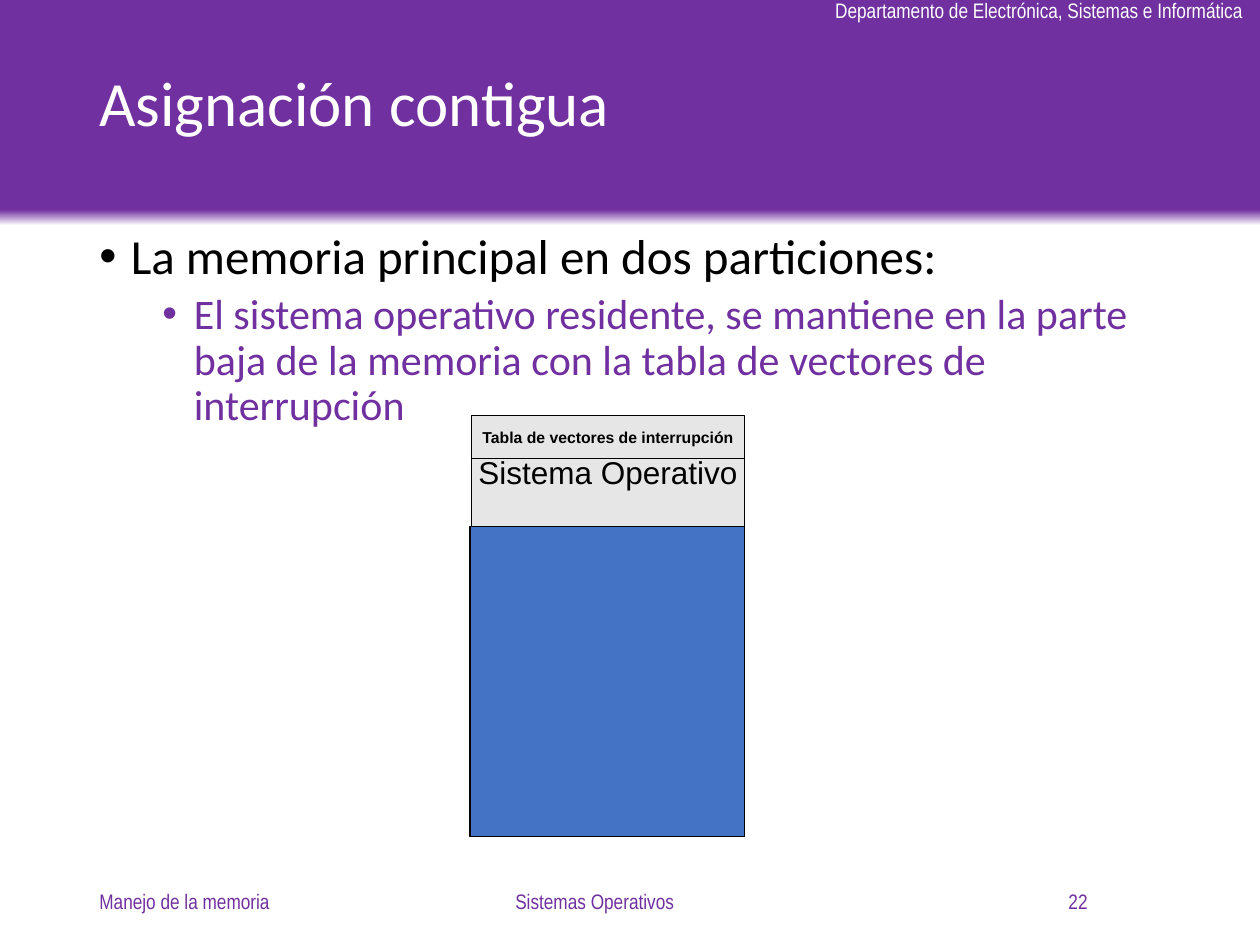
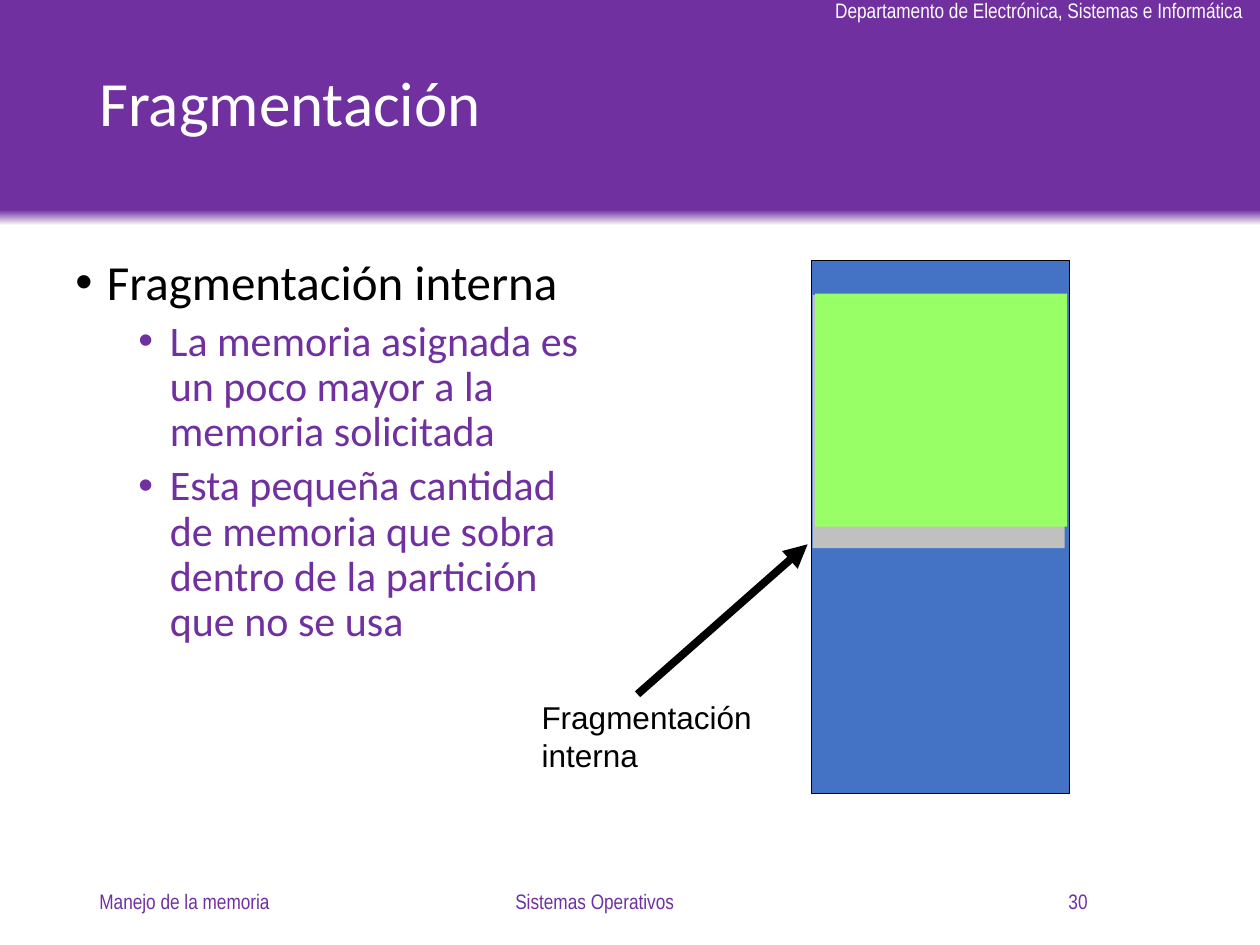
from copy import deepcopy
from dataclasses import dataclass

from pptx import Presentation
from pptx.dml.color import RGBColor
from pptx.enum.shapes import MSO_CONNECTOR as Connector, MSO_SHAPE as Shape
from pptx.enum.text import MSO_ANCHOR as Anchor, PP_ALIGN as Align
from pptx.oxml.ns import qn
from pptx.oxml.xmlchemy import OxmlElement
from pptx.util import Inches, Pt

COLUMNS, ROWS = 100, 75


@dataclass(frozen=True)
class TextStyle:
    font: str
    size: int
    color: str
    bold: bool = False


@dataclass(frozen=True)
class Theme:
    purple: str = "7030A0"
    white: str = "FFFFFF"
    black: str = "000000"
    memory: str = "4472C4"
    system: str = "E7E6E6"
    used: str = "99FF66"
    spare: str = "C0C0C0"
    thin: float = 0.75
    thick: float = 4.5
    department: TextStyle = TextStyle("Arial Narrow", 12, white)
    footer: TextStyle = TextStyle("Arial Narrow", 12, purple)
    title: TextStyle = TextStyle("Calibri", 36, white)
    point: TextStyle = TextStyle("Calibri", 28, black)
    subpoint: TextStyle = TextStyle("Calibri", 24, purple)
    label: TextStyle = TextStyle("Arial", 18, black)
    small_label: TextStyle = TextStyle("Arial", 9, black, True)


class Deck:
    """Draws on the current slide; areas are (column, row, columns, rows)."""

    def __init__(self, theme):
        self.theme = theme
        self.presentation = Presentation()
        self.presentation.slide_width = Inches(10)
        self.presentation.slide_height = Inches(7.5)
        self.slide = None

    def place(self, column, row):
        return (round(self.presentation.slide_width * column / COLUMNS),
                round(self.presentation.slide_height * row / ROWS))

    def box(self, area):
        return *self.place(*area[:2]), *self.place(*area[2:])

    def start_slide(self, title, number):
        theme = self.theme
        layout = self.presentation.slide_layouts[6]
        self.slide = self.presentation.slides.add_slide(layout)
        self.band((0, 0, 100, 17.9))
        self.text((65.3, -0.7, 34.8, 3), "Departamento de Electrónica, Sistemas e Informática",
                  theme.department, wrap=False)
        self.text((6.9, 1.5, 86.2, 13.9), title, theme.title, anchor=Anchor.MIDDLE, spacing=0.9)
        footers = ((6.9, 22.5, "Manejo de la memoria", Align.LEFT),
                   (30.3, 33.8, "Sistemas Operativos", Align.CENTER),
                   (64.8, 22.5, str(number), Align.RIGHT))
        for column, width, words, align in footers:
            self.text((column, 69.5, width, 4), words, theme.footer, align, Anchor.MIDDLE)

    def rectangle(self, area, color=None, outlined=False):
        shape = self.slide.shapes.add_shape(Shape.RECTANGLE, *self.box(area))
        shape.shadow.inherit = False
        if color:
            shape.fill.solid()
            shape.fill.fore_color.rgb = RGBColor.from_string(color)
        if outlined:
            shape.line.color.rgb = RGBColor.from_string(self.theme.black)
            shape.line.width = Pt(self.theme.thin)
        else:
            shape.line.fill.background()
        return shape

    def band(self, area):
        """Purple band that fades to white along its lower edge."""
        shape = self.rectangle(area)
        shape.fill.gradient()
        shape.fill.gradient_angle = 90
        edge, body = shape.fill.gradient_stops
        edge.color.rgb = RGBColor.from_string(self.theme.white)
        body.color.rgb = RGBColor.from_string(self.theme.purple)
        edge.position, body.position = 0, 0.07
        stops = next(shape.element.iter(qn("a:gsLst")))
        end = deepcopy(stops[-1])
        end.set("pos", "100000")
        stops.append(end)

    def add_run(self, paragraph, words, style):
        run = paragraph.add_run()
        run.text = words
        run.font.name = style.font
        run.font.size = Pt(style.size)
        run.font.bold = style.bold
        run.font.color.rgb = RGBColor.from_string(style.color)

    def fill_text(self, shape, words, style, align, anchor, wrap, spacing=None):
        frame = shape.text_frame
        frame.word_wrap = wrap
        frame.vertical_anchor = anchor
        paragraph = frame.paragraphs[0]
        paragraph.alignment = align
        paragraph.line_spacing = spacing
        self.add_run(paragraph, words, style)

    def text(self, area, words, style, align=Align.LEFT, anchor=Anchor.TOP,
             wrap=True, spacing=None):
        shape = self.slide.shapes.add_textbox(*self.box(area))
        self.fill_text(shape, words, style, align, anchor, wrap, spacing)

    def block(self, area, color, words, style):
        shape = self.rectangle(area, color, outlined=True)
        self.fill_text(shape, words, style, Align.CENTER, Anchor.MIDDLE, wrap=False)

    def bullets(self, area, point, subpoints):
        frame = self.slide.shapes.add_textbox(*self.box(area)).text_frame
        frame.word_wrap = True
        items = [(0, point)] + [(1, words) for words in subpoints]
        for index, (level, words) in enumerate(items):
            paragraph = frame.add_paragraph() if index else frame.paragraphs[0]
            paragraph.level = level
            paragraph.line_spacing = 0.9
            paragraph.space_before = Pt(5 if level else 10)
            properties = paragraph._p.get_or_add_pPr()
            properties.set("marL", str(Inches(0.25 + 0.5 * level)))
            properties.set("indent", str(Inches(-0.25)))
            for tag, name, value in (("a:buFont", "typeface", "Arial"), ("a:buChar", "char", "•")):
                bullet = OxmlElement(tag)
                bullet.set(name, value)
                properties.append(bullet)
            self.add_run(paragraph, words, self.theme.subpoint if level else self.theme.point)

    def arrow(self, start, end):
        connector = self.slide.shapes.add_connector(
            Connector.STRAIGHT, *self.place(*start), *self.place(*end))
        connector.line.color.rgb = RGBColor.from_string(self.theme.black)
        connector.line.width = Pt(self.theme.thick)
        head = OxmlElement("a:tailEnd")
        head.set("type", "triangle")
        properties = connector.element.spPr
        properties.find(qn("a:ln")).append(head)
        properties.append(OxmlElement("a:effectLst"))


def add_contiguous_allocation(deck):
    theme = deck.theme
    deck.start_slide("Asignación contigua", 22)
    deck.bullets((6.9, 17.9, 86.2, 49.7), "La memoria principal en dos particiones:", [
        "El sistema operativo residente, se mantiene en la parte baja de la memoria "
        "con la tabla de vectores de interrupción"])
    deck.rectangle((37.3, 41.8, 21.8, 24.6), theme.memory, outlined=True)
    deck.block((37.4, 33.1, 21.7, 8.7), theme.system, "Sistema Operativo", theme.label)
    deck.block((37.4, 33, 21.7, 3.4), theme.system,
               "Tabla de vectores de interrupción", theme.small_label)


def add_fragmentation(deck):
    theme = deck.theme
    deck.start_slide("Fragmentación", 30)
    deck.bullets((5, 20, 43.5, 43), "Fragmentación interna", [
        "La memoria asignada es un poco mayor a la memoria solicitada",
        "Esta pequeña cantidad de memoria que sobra dentro de la partición que no se usa"])
    deck.rectangle((64.4, 20.7, 20.5, 42.3), theme.memory, outlined=True)
    deck.rectangle((64.5, 23.4, 20, 20.1), theme.spare)
    deck.rectangle((64.7, 23.3, 20, 18.5), theme.used)
    deck.text((42, 54.9, 19, 7), "Fragmentación interna", theme.label)
    deck.arrow((50.6, 55.1), (64.1, 43.2))


def main():
    deck = Deck(Theme())
    add_contiguous_allocation(deck)
    add_fragmentation(deck)
    deck.presentation.save("out.pptx")


if __name__ == "__main__":
    main()
